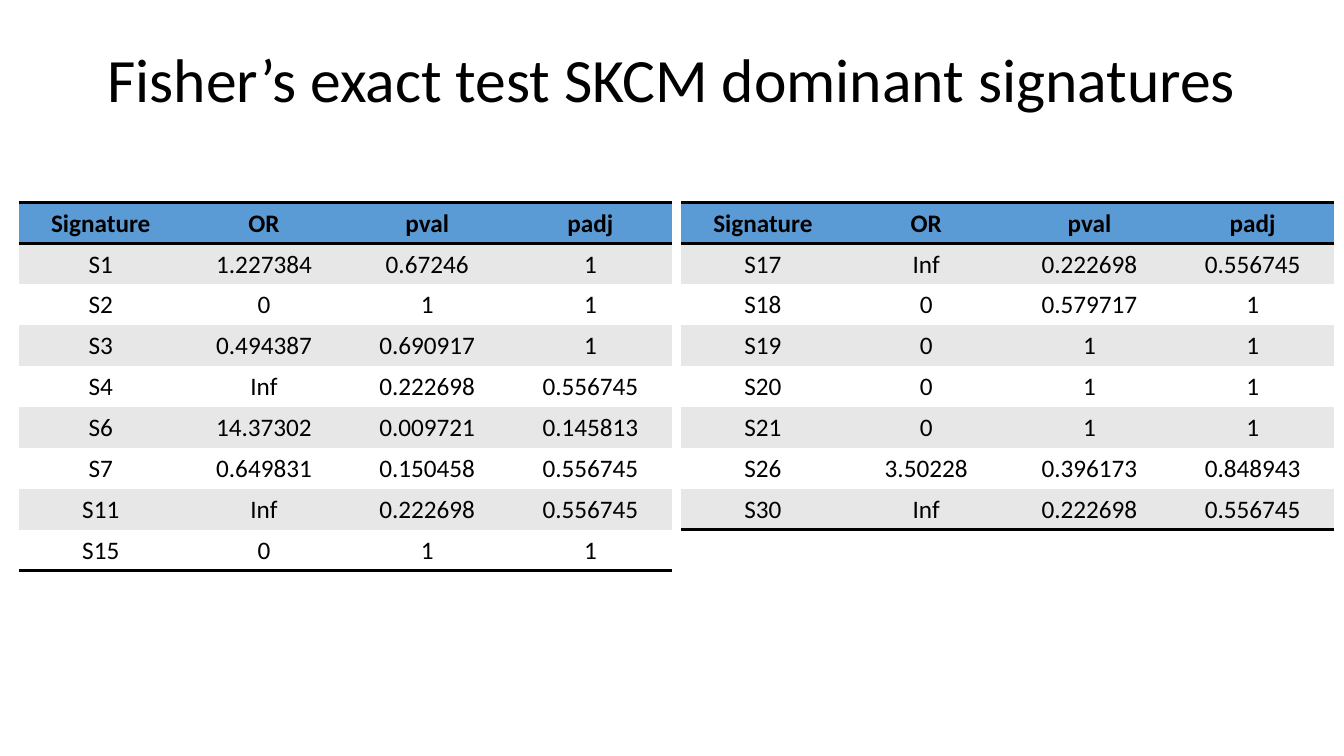
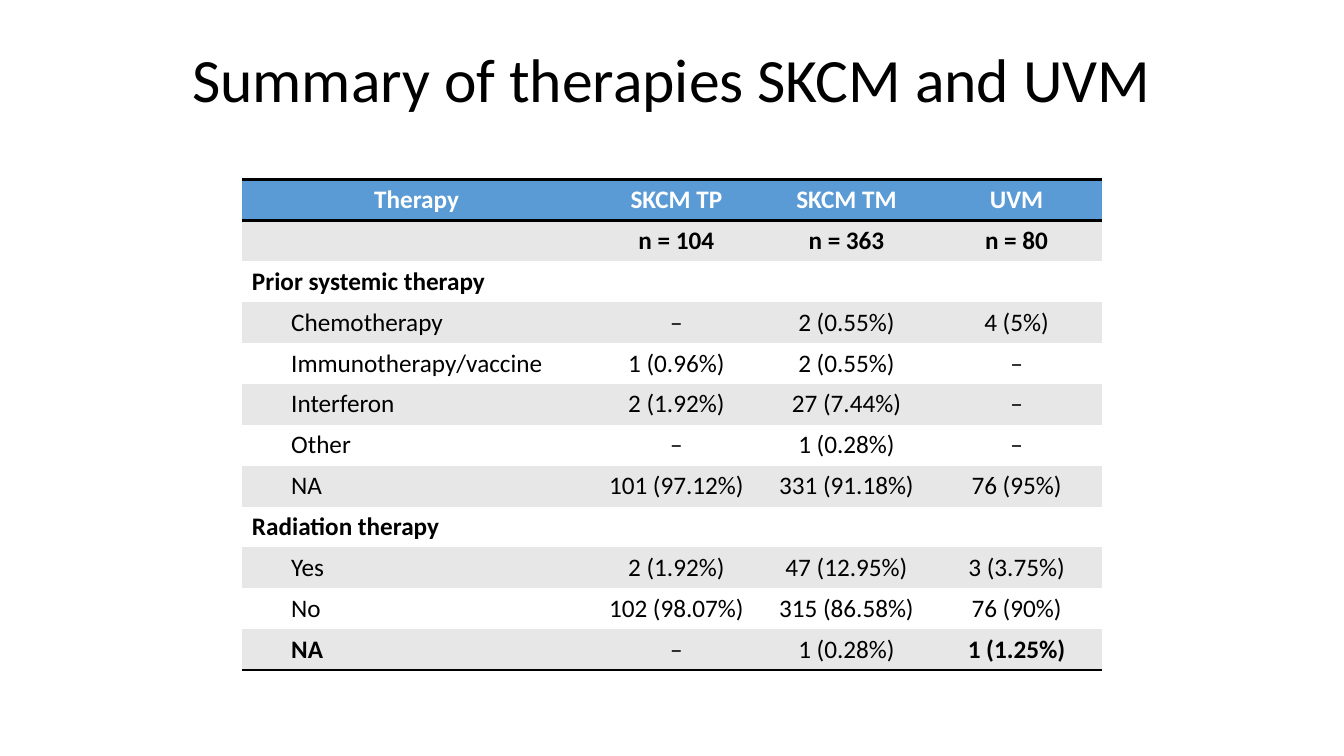
from dataclasses import dataclass

from lxml.etree import SubElement
from pptx import Presentation
from pptx.dml.color import RGBColor
from pptx.enum.text import MSO_ANCHOR, PP_ALIGN
from pptx.oxml.ns import qn
from pptx.util import Pt

# Content
SIGNATURE_HEADER = ("Signature", "OR", "pval", "padj")
SIGNATURES_LEFT = [
    ("S1", "1.227384", "0.67246", "1"),
    ("S2", "0", "1", "1"),
    ("S3", "0.494387", "0.690917", "1"),
    ("S4", "Inf", "0.222698", "0.556745"),
    ("S6", "14.37302", "0.009721", "0.145813"),
    ("S7", "0.649831", "0.150458", "0.556745"),
    ("S11", "Inf", "0.222698", "0.556745"),
    ("S15", "0", "1", "1"),
]
SIGNATURES_RIGHT = [
    ("S17", "Inf", "0.222698", "0.556745"),
    ("S18", "0", "0.579717", "1"),
    ("S19", "0", "1", "1"),
    ("S20", "0", "1", "1"),
    ("S21", "0", "1", "1"),
    ("S26", "3.50228", "0.396173", "0.848943"),
    ("S30", "Inf", "0.222698", "0.556745"),
]
THERAPY_HEADER = ("Therapy", "SKCM TP", "SKCM TM", "UVM")
PATIENT_COUNTS = ("", "n = 104", "n = 363", "n = 80")
THERAPY_SECTIONS = {
    "Prior systemic therapy": [
        ("Chemotherapy", "–", "2 (0.55%)", "4 (5%)"),
        ("Immunotherapy/vaccine", "1 (0.96%)", "2 (0.55%)", "–"),
        ("Interferon", "2 (1.92%)", "27 (7.44%)", "–"),
        ("Other", "–", "1 (0.28%)", "–"),
        ("NA", "101 (97.12%)", "331 (91.18%)", "76 (95%)"),
    ],
    "Radiation therapy": [
        ("Yes", "2 (1.92%)", "47 (12.95%)", "3 (3.75%)"),
        ("No", "102 (98.07%)", "315 (86.58%)", "76 (90%)"),
        ("NA", "–", "1 (0.28%)", "1 (1.25%)"),
    ],
}
BOLD_IN_LAST_ROW = (0, 3)


# Shared look
@dataclass(frozen=True)
class Theme:
    font: str = "Calibri"
    black: str = "000000"
    white: str = "FFFFFF"
    header: str = "5B9BD5"
    band: str = "E7E7E7"
    title_size: int = 44
    table_size: int = 18
    rule_width: int = 2
    row_height: float = 29.2
    indent: int = 28


THEME = Theme()
PLAIN_TABLE_STYLE = "{2D5ABB26-0587-4C30-8999-92F81FD0307C}"
TIGHT_MARGIN = 0.7


def write_text(frame, text, *, size=THEME.table_size, color=THEME.black, bold=False,
               align=PP_ALIGN.CENTER, indent=0, line_spacing=None):
    para = frame.paragraphs[0]
    para.alignment = align
    if line_spacing:
        para.line_spacing = line_spacing
    if indent:
        para._p.get_or_add_pPr().set("marL", str(Pt(indent)))
    span = para.add_run()
    span.text = text
    span.font.name = THEME.font
    span.font.size = Pt(size)
    span.font.bold = bold
    span.font.color.rgb = RGBColor.from_string(color)


def add_titled_page(deck, title):
    page = deck.slides.add_slide(deck.slide_layouts[6])
    box = page.shapes.add_textbox(Pt(66), Pt(28.8), Pt(828), Pt(60))
    box.text_frame.word_wrap = True
    box.text_frame.vertical_anchor = MSO_ANCHOR.MIDDLE
    write_text(box.text_frame, title, size=THEME.title_size, line_spacing=0.9)
    return page


def add_rule(cell, side):
    line = SubElement(cell._tc.get_or_add_tcPr(), qn(f"a:{side}"), w=str(Pt(THEME.rule_width)))
    fill = SubElement(line, qn("a:solidFill"))
    SubElement(fill, qn("a:srgbClr"), val=THEME.black)


def add_banded_table(page, rows, left, top, widths, *, margin=None,
                     header_color=THEME.black, cell_format=None):
    """Header row, then grey and white rows; cell_format(row, column) gives text options."""
    frame = page.shapes.add_table(len(rows), len(widths), Pt(left), Pt(top),
                                  Pt(sum(widths)), Pt(THEME.row_height * len(rows)))
    table = frame.table
    table.first_row = table.horz_banding = False
    table._tbl.tblPr.find(qn("a:tableStyleId")).text = PLAIN_TABLE_STYLE
    for column, width in zip(table.columns, widths):
        column.width = Pt(width)
    for r, values in enumerate(rows):
        table.rows[r].height = Pt(THEME.row_height)
        sides = ("lnT", "lnB") if r == 0 else ("lnB",) if r == len(rows) - 1 else ()
        background = THEME.header if r == 0 else THEME.band if r % 2 else THEME.white
        for c, value in enumerate(values):
            cell = table.cell(r, c)
            for side in sides:
                add_rule(cell, side)
            cell.fill.solid()
            cell.fill.fore_color.rgb = RGBColor.from_string(background)
            cell.vertical_anchor = MSO_ANCHOR.MIDDLE
            if margin is not None:
                cell.margin_left = cell.margin_right = cell.margin_top = Pt(margin)
                cell.margin_bottom = Pt(0)
            if not value:
                continue
            if r == 0:
                options = {"bold": True, "color": header_color}
            else:
                options = cell_format(r, c) if cell_format else {}
            write_text(cell.text_frame, value, **options)


# Slide 1: two signature tables side by side
def build_signatures(deck):
    page = add_titled_page(deck, "Fisher’s exact test SKCM dominant signatures")
    widths = [116.6] * len(SIGNATURE_HEADER)
    left, gap = 13.7, 6.6
    for rows in (SIGNATURES_LEFT, SIGNATURES_RIGHT):
        add_banded_table(page, [SIGNATURE_HEADER, *rows], left, 144.7, widths,
                         margin=TIGHT_MARGIN)
        left += sum(widths) + gap


# Slide 2: therapies grouped in sections
def build_therapies(deck):
    page = add_titled_page(deck, "Summary of therapies SKCM and UVM")
    rows = [THERAPY_HEADER, PATIENT_COUNTS]
    for section, therapies in THERAPY_SECTIONS.items():
        rows += [(section, "", "", ""), *therapies]

    def therapy_format(r, c):
        is_section = rows[r][0] in THERAPY_SECTIONS
        is_bold_end = r == len(rows) - 1 and c in BOLD_IN_LAST_ROW
        options = {"bold": is_section or is_bold_end or rows[r] == PATIENT_COUNTS}
        if c == 0:
            options["align"] = PP_ALIGN.LEFT
            options["indent"] = 0 if is_section else THEME.indent
        return options

    add_banded_table(page, rows, 172.8, 128.2, [249.6] + [121.5] * 3,
                     header_color=THEME.white, cell_format=therapy_format)


def main():
    deck = Presentation()
    deck.slide_width, deck.slide_height = Pt(960), Pt(540)
    build_signatures(deck)
    build_therapies(deck)
    deck.save("out.pptx")


if __name__ == "__main__":
    main()
